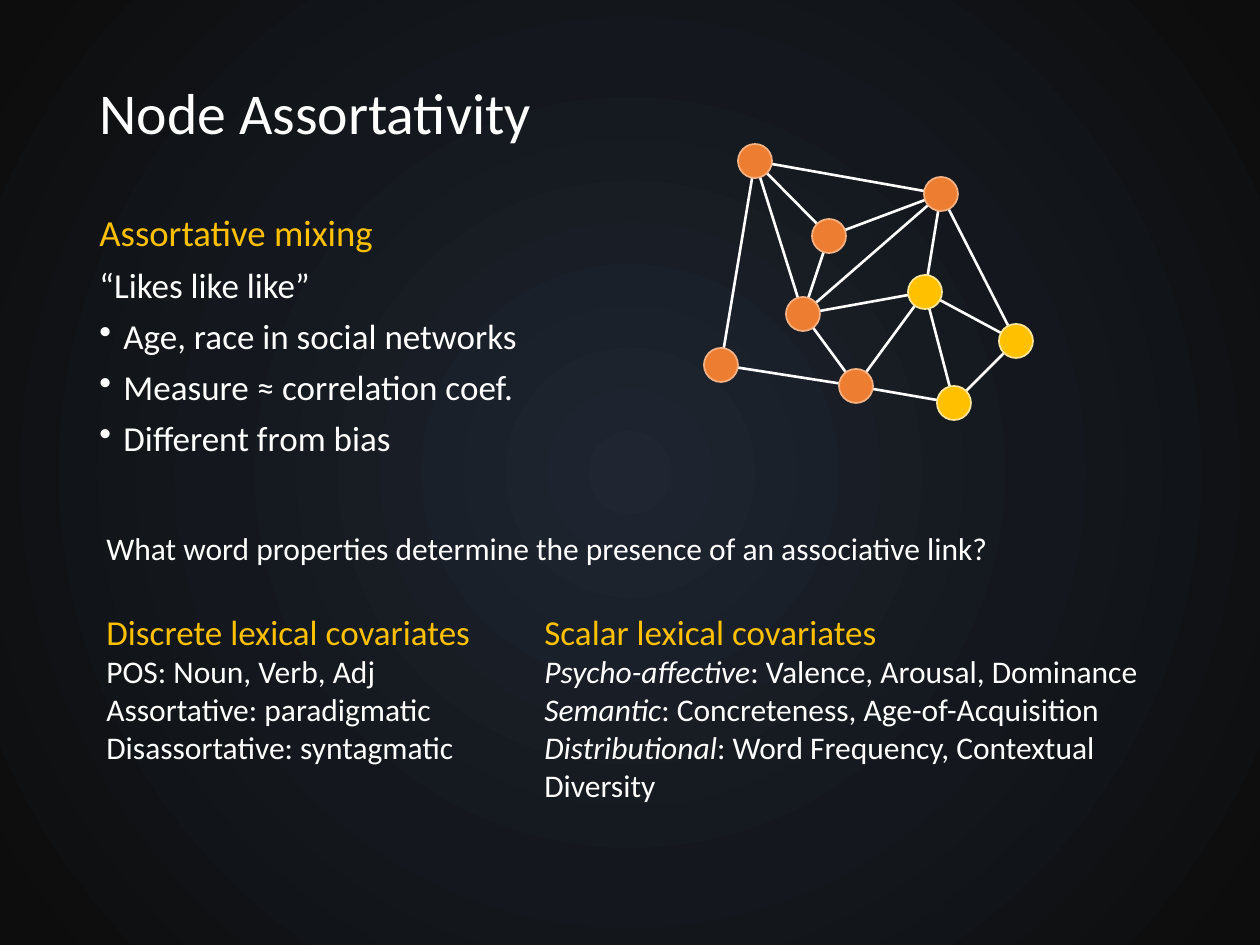
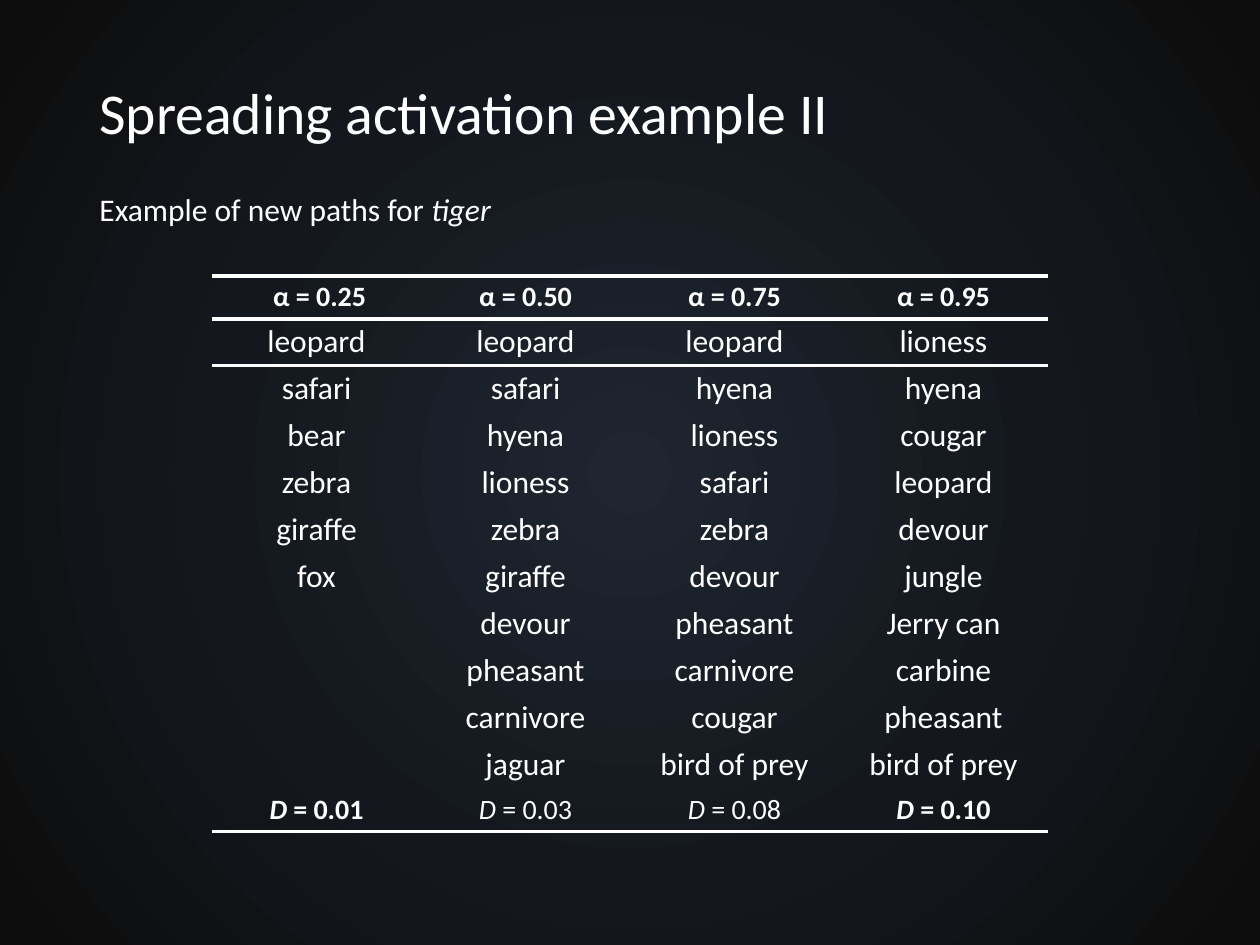
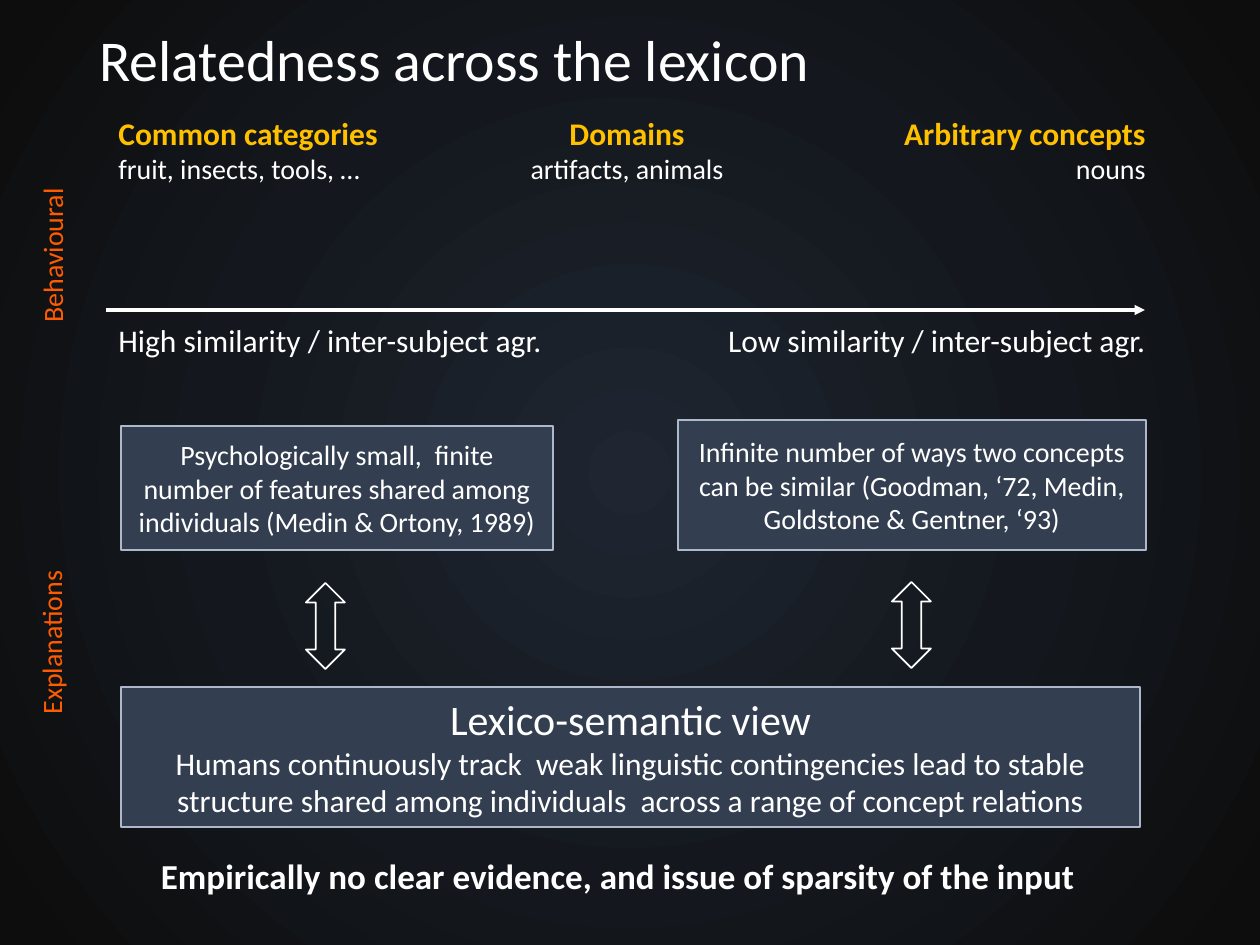
import lxml.etree
import pptx
import pptx.dml.color
import pptx.enum.dml
import pptx.enum.shapes
import pptx.enum.text
import pptx.oxml
import pptx.oxml.ns
import pptx.util

PX = 7257  # EMU in one px, 126 px to the inch
WHITE, GOLD, ORANGE, BRIGHT_ORANGE = "FFFFFF", "FFC000", "ED7D31", "FF5C01"
PANEL, PANEL_EDGE = "333F50", "ADB9CA"
BACKGROUND_STOPS = {0: "1F2631", 53: "14181E", 97: "0D0D0D"}

qn = pptx.oxml.ns.qn
rgb = pptx.dml.color.RGBColor.from_string
Pt = pptx.util.Pt
Align = pptx.enum.text.PP_ALIGN
Anchor = pptx.enum.text.MSO_ANCHOR
Preset = pptx.enum.shapes.MSO_SHAPE


def write(frame, paragraphs, frame_format=None, paragraph_format=None):
    """Fill a text frame; each run is (text, size, colour, font format)."""
    for attribute, value in {"word_wrap": True, **(frame_format or {})}.items():
        setattr(frame, attribute, value)
    for index, runs in enumerate(paragraphs):
        paragraph = frame.add_paragraph() if index else frame.paragraphs[0]
        for attribute, value in (paragraph_format or {}).items():
            if index or attribute != "space_before":
                setattr(paragraph, attribute, value)
        for text, size, colour, *font_format in runs:
            run = paragraph.add_run()
            run.text = text
            run.font.color.rgb = rgb(colour)
            settings = {"name": "Calibri", "size": Pt(size)}
            for extra in font_format:
                settings.update(extra)
            for attribute, value in settings.items():
                setattr(run.font, attribute, value)


def add_line(slide, start, end, width):
    """Draw a white line without shadow between two points in px."""
    line = slide.shapes.add_connector(
        pptx.enum.shapes.MSO_CONNECTOR.STRAIGHT,
        *(n * PX for n in (*start, *end)))
    line.line.color.rgb = rgb(WHITE)
    line.line.width = Pt(width)
    lxml.etree.SubElement(line.element.spPr, qn("a:effectLst"))
    return line


prs = pptx.Presentation()
prs.slide_width = pptx.util.Inches(10)
prs.slide_height = pptx.util.Inches(7.5)

# Shared background: radial gradient on the master
stops = "".join(
    f'<a:gs pos="{percent * 1000}"><a:srgbClr val="{colour}"/></a:gs>'
    for percent, colour in BACKGROUND_STOPS.items())
background = pptx.oxml.parse_xml(
    f'<p:bg {pptx.oxml.ns.nsdecls("p", "a")}><p:bgPr><a:gradFill>'
    f'<a:gsLst>{stops}</a:gsLst><a:path path="circle">'
    '<a:fillToRect l="50000" t="50000" r="50000" b="50000"/></a:path>'
    '</a:gradFill><a:effectLst/></p:bgPr></p:bg>')
common = prs.slide_master.element.find(qn("p:cSld"))
for old in common.findall(qn("p:bg")):
    common.remove(old)
common.insert(0, background)

# Slides with their titles
slides = []
for title, top, height in [
    ("Node Assortativity", 50, 131),
    ("Spreading activation example II", 50, 131),
    ("Relatedness across the lexicon", 24, 77),
]:
    slide = prs.slides.add_slide(prs.slide_layouts[6])
    box = slide.shapes.add_textbox(87 * PX, top * PX, 1086 * PX, height * PX)
    write(box.text_frame, [[(title, 33, WHITE)]],
          {"vertical_anchor": Anchor.MIDDLE}, {"line_spacing": 0.9})
    slides.append(slide)
assortativity, spreading, relatedness = slides

bold, italic = {"bold": True}, {"italic": True}

# Slide 1: assortative mixing, with bullets from the third paragraph on
mixing = assortativity.shapes.add_textbox(
    87 * PX, 209 * PX, 677 * PX, 294 * PX).text_frame
write(mixing, [
    [("Assortative mixing", 21, GOLD)],
    [("“Likes like like”", 20, WHITE)],
    [("Age, race in social networks", 20, WHITE)],
    [("Measure ≈ correlation coef.", 20, WHITE)],
    [("Different from bias", 20, WHITE)],
], None, {"line_spacing": 0.9, "space_before": Pt(7.5)})
for paragraph in mixing.paragraphs[2:]:
    properties = paragraph._p.get_or_add_pPr()
    properties.set("marL", str(24 * PX))
    properties.set("indent", str(-24 * PX))
    lxml.etree.SubElement(properties, qn("a:buChar")).set("char", "•")

# Slide 1: question and covariates
for box, paragraphs in [
    ((94, 523, 1113, 50), [
        [("What word properties determine the presence of an associative link?",
          18, WHITE)]]),
    ((94, 604, 486, 208), [
        [("Discrete lexical covariates", 20, GOLD)],
        [("POS: Noun, Verb, Adj", 18, WHITE)],
        [("Assortative: paradigmatic", 18, WHITE)],
        [("Disassortative: syntagmatic", 18, WHITE)]]),
    ((532, 604, 653, 246), [
        [("Scalar lexical covariates", 20, GOLD)],
        [("Psycho-affective", 18, WHITE, italic),
         (": Valence, Arousal, Dominance", 18, WHITE)],
        [("Semantic", 18, WHITE, italic),
         (": Concreteness, Age-of-Acquisition", 18, WHITE)],
        [("Distributional", 18, WHITE, italic),
         (": Word Frequency, Contextual Diversity", 18, WHITE)]]),
]:
    text_box = assortativity.shapes.add_textbox(*(n * PX for n in box))
    write(text_box.text_frame, paragraphs)

# Slide 1: network, nodes given by their centres
RADIUS = 17
NODE_EDGE = {ORANGE: "F4B183", GOLD: "FFE699"}
nodes = {
    "A": (755, 161, ORANGE), "B": (721, 365, ORANGE), "C": (829, 236, ORANGE),
    "D": (803, 314, ORANGE), "E": (925, 292, GOLD), "F": (856, 386, ORANGE),
    "G": (1016, 341, GOLD), "H": (954, 403, GOLD), "I": (941, 194, ORANGE),
}
for a, b in "DE GE GI EI BA DI CI IA CA DA DC EF HG FH FB EH FD".split():
    add_line(assortativity, nodes[a][:2], nodes[b][:2], 1.5)
for x, y, colour in nodes.values():
    node = assortativity.shapes.add_shape(
        Preset.OVAL, (x - RADIUS) * PX, (y - RADIUS) * PX,
        2 * RADIUS * PX, 2 * RADIUS * PX)
    node.shadow.inherit = False
    node.fill.solid()
    node.fill.fore_color.rgb = rgb(colour)
    node.line.color.rgb = rgb(NODE_EDGE[colour])
    node.line.width = Pt(1)

# Slide 2: lead-in
lead_in = spreading.shapes.add_textbox(87 * PX, 184 * PX, 978 * PX, 50 * PX)
write(lead_in.text_frame, [[("Example of new paths for ", 18, WHITE),
                            ("tiger", 18, WHITE, italic)]])

# Slide 2: table of paths, one column per alpha
columns = [
    (" α = 0.25", "leopard safari bear zebra giraffe fox".split(),
     " = 0.01", True),
    ("α = 0.50", "leopard safari hyena lioness zebra giraffe devour pheasant "
     "carnivore jaguar".split(), " = 0.03", False),
    ("α = 0.75", "leopard hyena lioness safari zebra devour pheasant "
     "carnivore cougar".split() + ["bird of prey"], " = 0.08", False),
    ("α = 0.95", "lioness hyena cougar leopard devour jungle".split()
     + ["Jerry can", "carbine", "pheasant", "bird of prey"], " = 0.10", True),
]
LAST = 11
paths = spreading.shapes.add_table(
    LAST + 1, 4, 212 * PX, 276 * PX, 836 * PX, 556 * PX).table
paths.first_row = paths.horz_banding = False
style_id = paths._tbl.tblPr.find(qn("a:tableStyleId"))
style_id.text = "{2D5ABB26-0587-4C30-8999-92F81FD0307C}"  # no style, no grid
for index, row in enumerate(paths.rows):
    row.height = (43 if index in (0, LAST) else 47) * PX
borders = {0: ("a:lnT", "a:lnB"), 1: ("a:lnT",),
           LAST - 1: ("a:lnB",), LAST: ("a:lnB",)}
borders[LAST - 1] = ()
cell_format = {"margin_left": 9 * PX, "margin_right": 9 * PX,
               "margin_top": 4 * PX, "margin_bottom": 4 * PX}
for column, (alpha, words, distance, extreme) in enumerate(columns):
    contents = [[(alpha, 16, WHITE, bold)]]
    contents += [[(word, 18, WHITE)] for word in words]
    contents += [[]] * (LAST - len(contents))
    weight = {"bold": extreme}
    contents.append([("D", 16, WHITE, italic, weight),
                     (distance, 16, WHITE, weight)])
    for row, runs in enumerate(contents):
        cell = paths.cell(row, column)
        for attribute, value in cell_format.items():
            setattr(cell, attribute, value)
        write(cell.text_frame, [runs], None, {"alignment": Align.CENTER})
        for side in borders.get(row, ()):
            border = lxml.etree.SubElement(
                cell._tc.get_or_add_tcPr(), qn(side), w=str(Pt(2)))
            fill = lxml.etree.SubElement(border, qn("a:solidFill"))
            lxml.etree.SubElement(fill, qn("a:srgbClr"), val=WHITE)
        cell.fill.background()

# Slide 3: kinds of concepts above the axis
for left, heading, examples, alignment in [
    (106, "Common categories", "fruit, insects, tools, …", Align.LEFT),
    (460, "Domains", "artifacts, animals", Align.CENTER),
    (824, "Arbitrary concepts", "nouns", Align.RIGHT),
]:
    kind = relatedness.shapes.add_textbox(left * PX, 108 * PX, 334 * PX, 84 * PX)
    write(kind.text_frame,
          [[(heading, 18, GOLD, bold)], [(examples, 16, WHITE)]],
          None, {"alignment": alignment})

# Slide 3: similarity axis with its end labels, and the conclusion
axis = add_line(relatedness, (106, 310), (1145, 310), 1.75)
lxml.etree.SubElement(axis.element.spPr.find(qn("a:ln")), qn("a:tailEnd"),
                      type="triangle")
for box, run, alignment in [
    ((106, 315, 465, 50),
     ("High similarity / inter-subject agr.", 18, WHITE), Align.LEFT),
    ((709, 315, 449, 50),
     ("Low similarity / inter-subject agr.", 18, WHITE), Align.RIGHT),
    ((145, 848, 946, 55),
     ("Empirically no clear evidence, and issue of sparsity of the input",
      20, WHITE, bold), Align.CENTER),
]:
    label = relatedness.shapes.add_textbox(*(n * PX for n in box))
    write(label.text_frame, [[run]], None, {"alignment": alignment})

# Slide 3: explanation panels
for box, width, anchor, paragraphs in [
    ((121, 426, 432, 124), 1, Anchor.MIDDLE, [
        [("Psychologically small,  finite number of features shared among "
          "individuals (Medin & Ortony, 1989)", 16, WHITE)]]),
    ((678, 420, 468, 130), 1, Anchor.MIDDLE, [
        [("Infinite number of ways two concepts can be similar (Goodman, ‘72, "
          "Medin, Goldstone & Gentner, ‘93)", 16, WHITE)]]),
    ((121, 687, 1019, 140), 1.25, Anchor.TOP, [
        [("Lexico-semantic view", 24, WHITE)],
        [("Humans continuously track  weak linguistic contingencies lead to "
          "stable structure shared among individuals  across a range of "
          "concept relations", 18, WHITE)]]),
]:
    panel = relatedness.shapes.add_shape(
        Preset.RECTANGLE, *(n * PX for n in box))
    panel.shadow.inherit = False
    panel.fill.solid()
    panel.fill.fore_color.rgb = rgb(PANEL)
    panel.line.color.rgb = rgb(PANEL_EDGE)
    panel.line.width = Pt(width)
    write(panel.text_frame, paragraphs, {"vertical_anchor": anchor},
          {"alignment": Align.CENTER})

# Slide 3: double arrows between the panels
for left, top in [(306, 583), (892, 582)]:
    arrow = relatedness.shapes.add_shape(
        Preset.UP_DOWN_ARROW, left * PX, top * PX, 39 * PX, 86 * PX)
    arrow.shadow.inherit = False
    arrow.fill.background()
    arrow.line.color.rgb = rgb(WHITE)
    arrow.line.width = Pt(1)

# Slide 3: upright side labels
for text, left, top, height in [
    ("Behavioural", 29, 186, 149),
    ("Explanations", 28, 568, 159),
]:
    side_label = relatedness.shapes.add_textbox(
        left * PX, top * PX, 59 * PX, height * PX).text_frame
    write(side_label, [[(text, 16, BRIGHT_ORANGE)]], {
        "word_wrap": False,
        "auto_size": pptx.enum.text.MSO_AUTO_SIZE.SHAPE_TO_FIT_TEXT})
    side_label._txBody.bodyPr.set("vert", "vert270")

prs.save("out.pptx")
